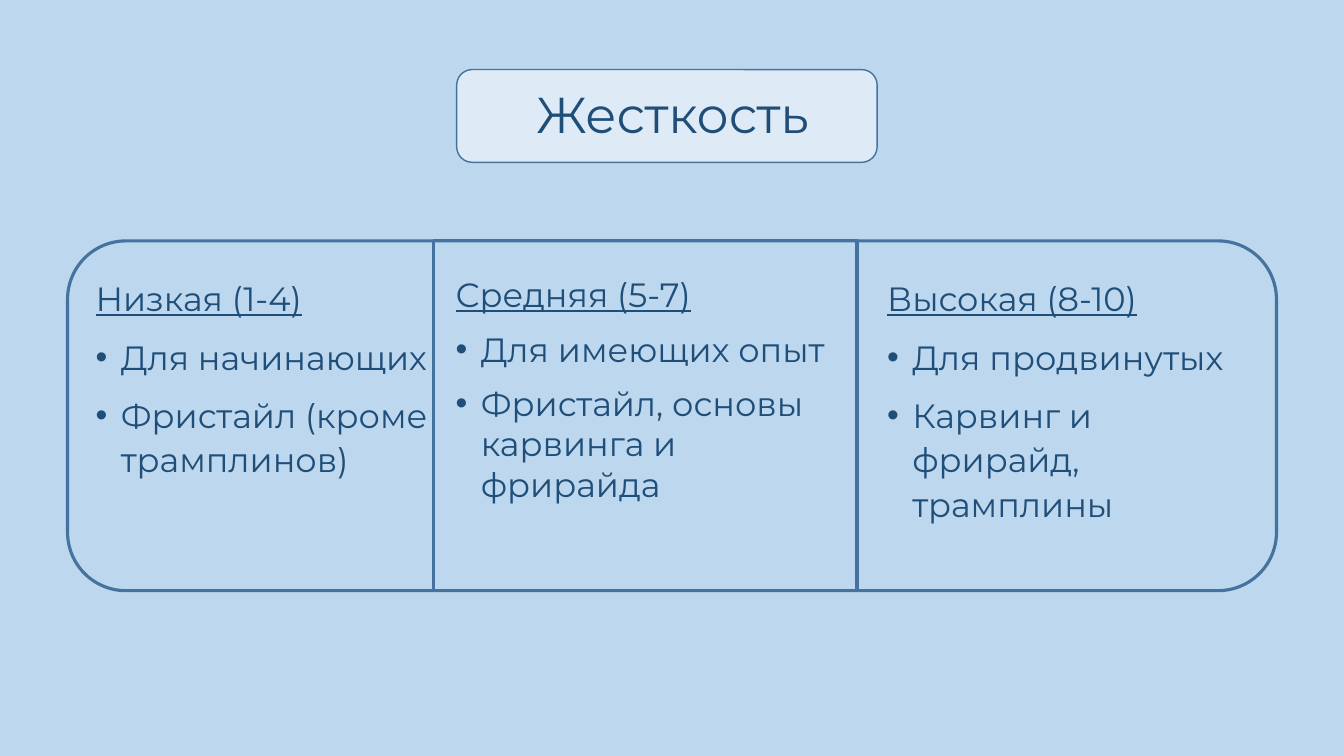
from lxml import etree
from pptx import Presentation
from pptx import util as u
from pptx.dml.color import RGBColor
from pptx.enum import shapes, text
from pptx.oxml.ns import qn

COLORS = {"background": "BDD7EE", "badge": "DEEBF7", "line": "43739E", "text": "1F4E79"}
FONT = "Montserrat"
TITLE = "Жесткость"
BADGE_BOX = (4.53, 0.69, 4.17, 0.92)
PANEL_BOX = (0.67, 2.39, 11.99, 3.47)
MIDDLE_LEFT, MIDDLE_WIDTH = 4.3, 4.2
TEXT_OFFSET = 0.28  # from the panel top to the text boxes

# left, width, line spacing, heading, bullets
COLUMNS = [
    (0.85, 3.51, 1.1, "Низкая (1-4)",
     ["Для начинающих", "Фристайл (кроме трамплинов)"]),
    (4.42, 3.95, 1.0, "Средняя (5-7)",
     ["Для имеющих опыт", "Фристайл, основы карвинга и фрирайда"]),
    (8.7, 3.96, 1.1, "Высокая (8-10)",
     ["Для продвинутых", "Карвинг и фрирайд, трамплины"]),
]


def color(name):
    return RGBColor.from_string(COLORS[name])


def inches(box):
    return [u.Inches(value) for value in box]


def add_frame(slide, kind, box, line_width, fill=None):
    shape = slide.shapes.add_shape(kind, *inches(box))
    shape.shadow.inherit = False
    if fill:
        shape.fill.solid()
        shape.fill.fore_color.rgb = color(fill)
    else:
        shape.fill.background()
    shape.line.color.rgb = color("line")
    shape.line.width = u.Pt(line_width)
    return shape


def add_run(paragraph, words, size, underline=False):
    run = paragraph.add_run()
    run.text = words
    run.font.name = FONT
    run.font.size = u.Pt(size)
    run.font.underline = underline
    run.font.color.rgb = color("text")


def add_bullet(paragraph):
    properties = paragraph._p.get_or_add_pPr()
    properties.set("marL", str(u.Inches(0.25)))
    properties.set("indent", str(u.Inches(-0.25)))
    font = etree.SubElement(properties, qn("a:buFont"))
    font.set("typeface", "Arial")
    etree.SubElement(properties, qn("a:buChar")).set("char", "•")


def add_title(slide, box):
    """Put the title placeholder in front of a rounded badge."""
    badge = add_frame(slide, shapes.MSO_SHAPE.ROUNDED_RECTANGLE, box, 1, "badge")
    title = slide.shapes.title
    title.element.addprevious(badge.element)
    title.left, title.top, title.width, title.height = inches((0.92, box[1] - 0.05, 11.5, 1.04))
    frame = title.text_frame
    frame.vertical_anchor = text.MSO_ANCHOR.MIDDLE
    paragraph = frame.paragraphs[0]
    paragraph.alignment = text.PP_ALIGN.CENTER
    paragraph.line_spacing = 0.9
    add_run(paragraph, TITLE, 36)


def add_column(slide, box, spacing, heading, bullets):
    frame = slide.shapes.add_textbox(*inches(box)).text_frame
    frame.word_wrap = True
    paragraph = frame.paragraphs[0]
    paragraph.line_spacing = spacing
    add_run(paragraph, heading, 24, underline=True)
    for words in bullets:
        paragraph = frame.add_paragraph()
        add_bullet(paragraph)
        paragraph.line_spacing = spacing
        paragraph.space_before = u.Pt(10)
        add_run(paragraph, words, 24)


def add_panel(slide, box):
    """Draw the rounded panel, its middle section and the three columns."""
    top, height = box[1], box[3]
    add_frame(slide, shapes.MSO_SHAPE.ROUNDED_RECTANGLE, box, 2.25)
    add_frame(slide, shapes.MSO_SHAPE.RECTANGLE,
              (MIDDLE_LEFT, top, MIDDLE_WIDTH, height), 2.25)
    for left, width, spacing, heading, bullets in COLUMNS:
        column_box = (left, top + TEXT_OFFSET, width, height - 2 * TEXT_OFFSET)
        add_column(slide, column_box, spacing, heading, bullets)


def main():
    presentation = Presentation()
    presentation.slide_width = u.Inches(13.33)
    presentation.slide_height = u.Inches(7.5)
    slide = presentation.slides.add_slide(presentation.slide_layouts[5])
    slide.background.fill.solid()
    slide.background.fill.fore_color.rgb = color("background")
    add_title(slide, BADGE_BOX)
    add_panel(slide, PANEL_BOX)
    presentation.save("out.pptx")


if __name__ == "__main__":
    main()
